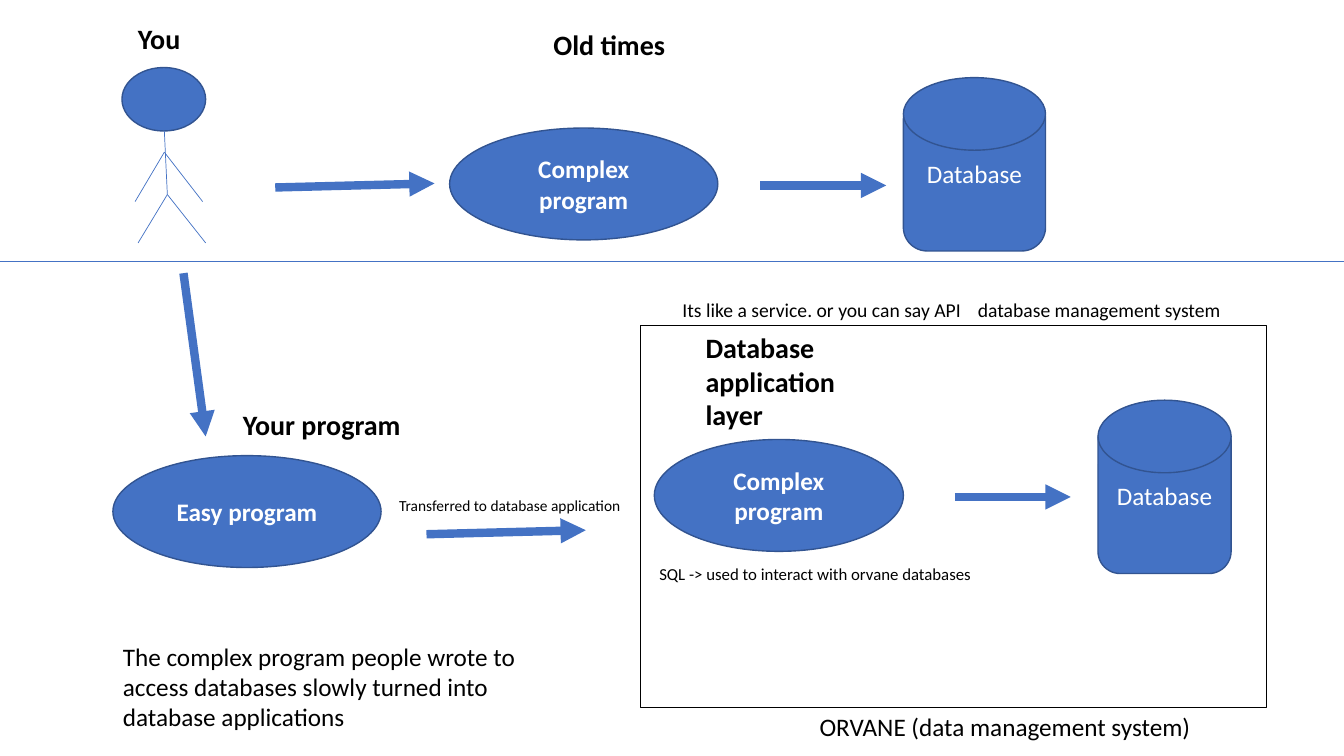
from lxml import etree
from pptx import Presentation
from pptx.dml.color import RGBColor
from pptx.enum.shapes import MSO_CONNECTOR, MSO_SHAPE as SHAPE
from pptx.enum.text import MSO_ANCHOR, PP_ALIGN
from pptx.oxml.ns import qn
from pptx.util import Inches, Pt

BLUE = RGBColor(0x44, 0x72, 0xC4)
DARK_BLUE = RGBColor(0x32, 0x54, 0x91)
BLACK = RGBColor(0, 0, 0)
WHITE = RGBColor(255, 255, 255)
FONT = "Calibri"
SLIDE_W, SLIDE_H = 13.33, 7.5

# Content: boxes are left, top, width, height in inches
DATABASES = [(8.96, 0.77, 1.41), (10.89, 3.97, 1.32)]  # left, top, width
LID_H, BODY_DROP, BODY_H = 0.72, 0.18, 1.54

PROGRAMS = [
    ("Complex program", (4.46, 1.27, 2.66, 1.11)),
    ("Complex program", (6.49, 4.36, 2.47, 1.11)),
    ("Easy program", (1.12, 4.52, 2.66, 1.11)),
]
HEAD = (1.21, 0.67, 0.83, 0.63)
NECK, SHOULDER, HIP = (1.63, 1.3), (1.63, 1.51), (1.66, 1.93)
LIMBS = [
    (NECK, HIP),
    (HIP, (1.37, 2.41)),
    (HIP, (2.04, 2.41)),
    (SHOULDER, (1.34, 2)),
    (SHOULDER, (2.01, 2)),
]
DIVIDER = ((0, 2.59), (SLIDE_W, 2.59))
ARROWS = [
    ((2.73, 1.86), (4.31, 1.82)),
    ((7.54, 1.84), (8.79, 1.84)),
    ((9.47, 4.93), (10.62, 4.93)),
    ((4.23, 5.3), (5.81, 5.26)),
    ((1.82, 2.71), (2.04, 4.33)),
]
SYSTEM_FRAME = (6.35, 3.23, 6.21, 3.79)
HEADINGS = [
    ("You", (1.27, 0.16, 1.93, 0.44)),
    ("Old times", (5.39, 0.22, 1.93, 0.44)),
    ("Your program", (2.31, 3.99, 1.93, 0.44)),
    ("Database application layer", (6.9, 3.23, 1.93, 1.11)),
]
NOTES = [  # text, box, size
    ("The complex program people wrote to access databases slowly turned into "
     "database applications", (1.12, 6.31, 4.69, 1.01), 18),
    ("Transferred to database application", (3.86, 4.87, 4.69, 0.29), 11),
    ("ORVANE (data management system)", (8.03, 7.01, 4.69, 0.4), 18),
    ("SQL -> used to interact with orvane databases", (6.44, 5.54, 4.69, 0.3), 12),
]
SERVICE_NOTE = ("Its like a service. or you can say API\tdatabase management system",
                (6.67, 2.91, 5.89, 0.34))
SERVICE_TAB = 2.93

prs = Presentation()
prs.slide_width, prs.slide_height = Inches(SLIDE_W), Inches(SLIDE_H)
slide = prs.slides.add_slide(prs.slide_layouts[6])


def write(shape, text, size=18, color=BLACK, bold=False, align=PP_ALIGN.LEFT,
          anchor=MSO_ANCHOR.TOP):
    frame = shape.text_frame
    frame.word_wrap = True
    frame.vertical_anchor = anchor
    paragraph = frame.paragraphs[0]
    paragraph.alignment = align
    run = paragraph.add_run()
    run.text = text
    run.font.name, run.font.size = FONT, Pt(size)
    run.font.bold, run.font.color.rgb = bold, color
    return paragraph


def add_figure(kind, box, parent=slide, fill=BLUE, line=DARK_BLUE):
    figure = parent.shapes.add_shape(kind, *map(Inches, box))
    figure.shadow.inherit = False
    if fill is None:
        figure.fill.background()
    else:
        figure.fill.solid()
        figure.fill.fore_color.rgb = fill
    figure.line.color.rgb = line
    figure.line.width = Pt(1)
    return figure


def add_line(start, end, width=0.5, arrow=False):
    link = slide.shapes.add_connector(MSO_CONNECTOR.STRAIGHT,
                                      *map(Inches, (*start, *end)))
    link.line.color.rgb = BLUE
    link.line.width = Pt(width)
    if arrow:
        etree.SubElement(link.line._get_or_add_ln(), qn("a:tailEnd"), type="triangle")
    etree.SubElement(link._element.spPr, qn("a:effectLst"))


def add_note(text, box, **style):
    return write(slide.shapes.add_textbox(*map(Inches, box)), text, **style)


# Databases: a rounded body under an elliptical lid
for left, top, width in DATABASES:
    cylinder = slide.shapes.add_group_shape()
    body = add_figure(SHAPE.ROUNDED_RECTANGLE,
                      (left, top + BODY_DROP, width, BODY_H), cylinder)
    write(body, "Database", color=WHITE, align=PP_ALIGN.CENTER,
          anchor=MSO_ANCHOR.MIDDLE)
    add_figure(SHAPE.OVAL, (left, top, width, LID_H), cylinder)

# Programs
for label, box in PROGRAMS:
    write(add_figure(SHAPE.OVAL, box), label, color=WHITE, bold=True,
          align=PP_ALIGN.CENTER, anchor=MSO_ANCHOR.MIDDLE)

# Stick figure, divider and flow arrows
add_figure(SHAPE.OVAL, HEAD)
for start, end in [*LIMBS, DIVIDER]:
    add_line(start, end)
for start, end in ARROWS:
    add_line(start, end, width=6, arrow=True)

# Management system frame
add_figure(SHAPE.RECTANGLE, SYSTEM_FRAME, fill=None, line=BLACK)

# Headings and notes
for heading, box in HEADINGS:
    add_note(heading, box, size=20, bold=True)
for note, box, size in NOTES:
    add_note(note, box, size=size)

# The service note has two parts, set apart by a tab stop
service = add_note(*SERVICE_NOTE, size=14)
tab_list = etree.SubElement(service._p.get_or_add_pPr(), qn("a:tabLst"))
etree.SubElement(tab_list, qn("a:tab"), pos=str(Inches(SERVICE_TAB)), algn="l")

prs.save("out.pptx")
